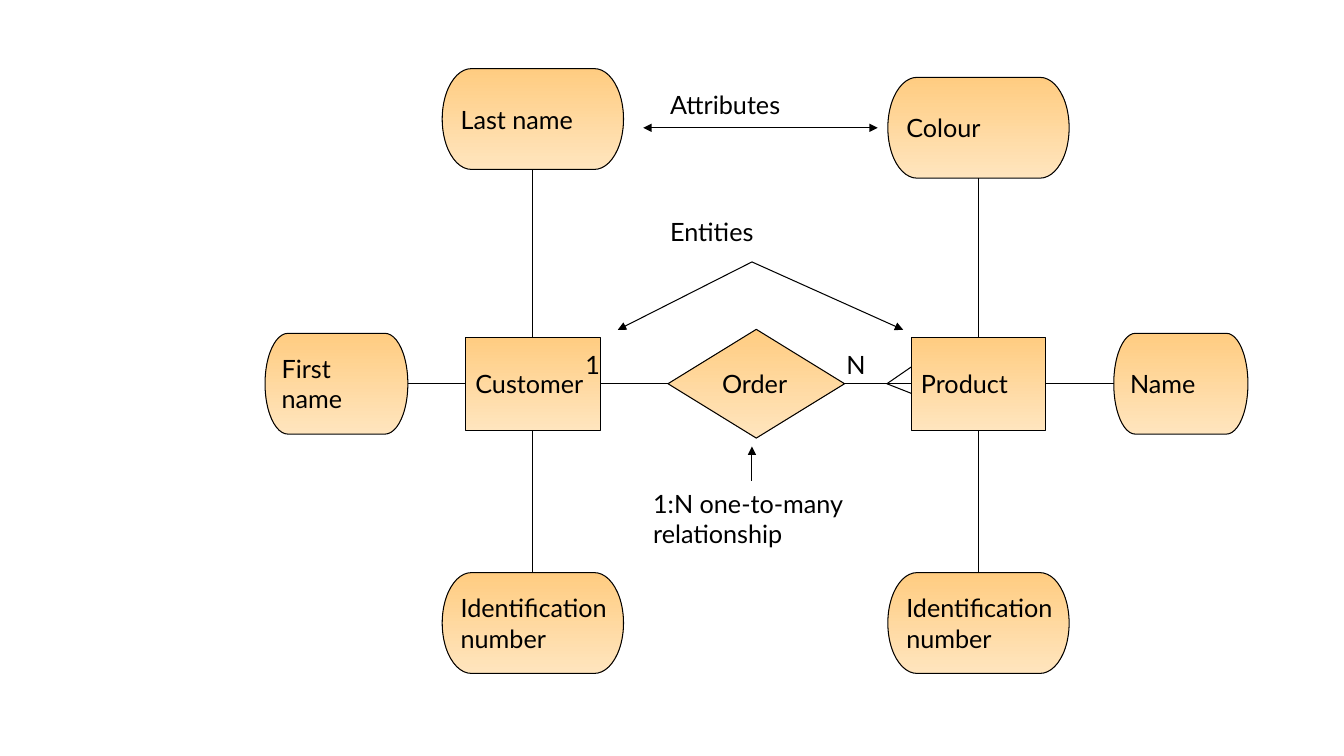
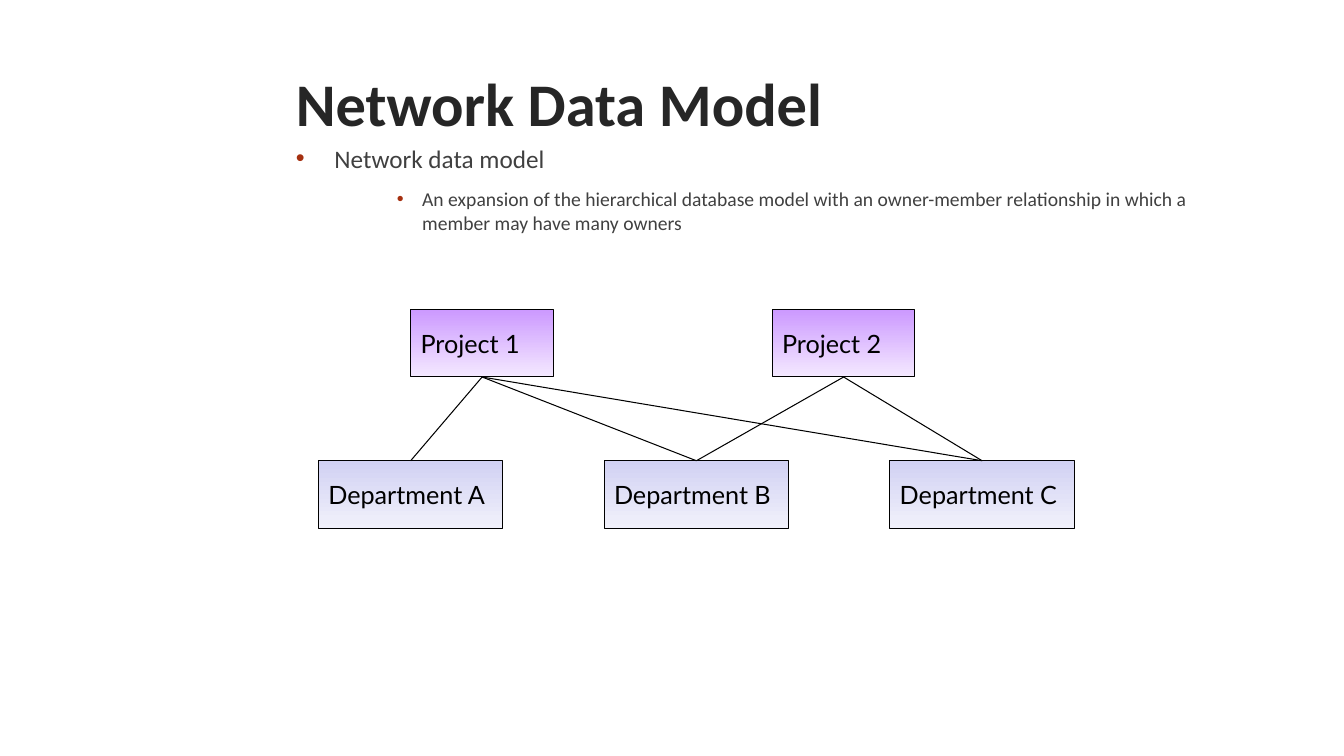
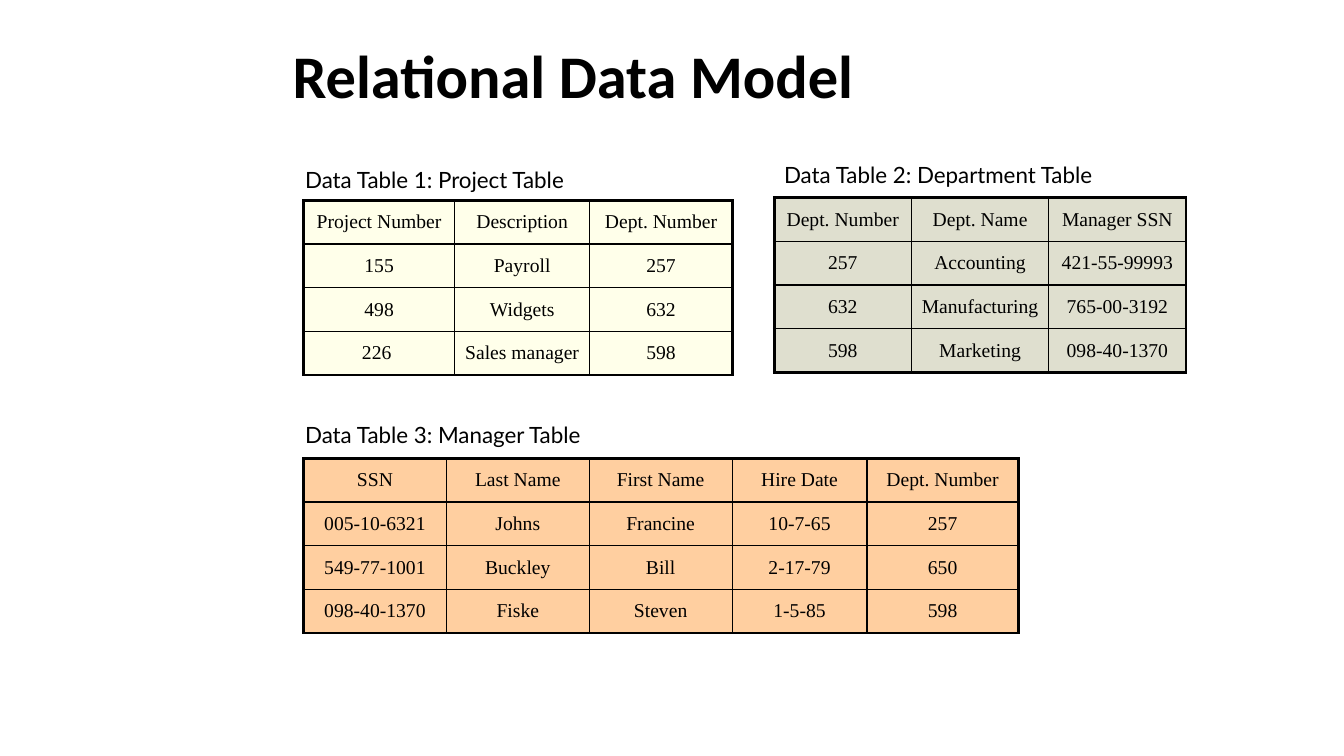
from lxml.etree import SubElement
from pptx import Presentation
from pptx.dml.color import RGBColor
from pptx.enum.shapes import MSO_CONNECTOR, MSO_SHAPE
from pptx.enum.text import MSO_ANCHOR, PP_ALIGN
from pptx.oxml.ns import qn
from pptx.util import Cm, Pt

COLORS = {
    "black": "000000", "title": "262626", "body": "404040", "bullet": "A53010",
    "orange": ("FFCC81", "FFE5BE"), "purple": ("CC99FF", "F4E9FF"), "lavender": ("D1D1F3", "F1F1FB"),
    "project table": "FFFFEA", "department table": "DFDFCF", "manager table": "FFCFA0",
}
TOP, LEFT, BOTTOM, RIGHT = range(4)


def write_text(frame, text, size=18, font="Lato", color="black", bold=False,
               align=PP_ALIGN.LEFT, anchor=MSO_ANCHOR.TOP, wrap=True,
               line_spacing=None, space_before=0, bullets=()):
    """Fill a text frame, one paragraph a line; bullets lists (left, hanging, size) per paragraph."""
    frame.word_wrap = wrap
    frame.vertical_anchor = anchor
    frame.text = text
    for index, paragraph in enumerate(frame.paragraphs):
        paragraph_size = size
        if bullets:
            left, hanging, paragraph_size = bullets[index]
            properties = paragraph._p.get_or_add_pPr()
            properties.set("marL", str(Cm(left)))
            properties.set("indent", str(-Cm(hanging)))
            bullet_color = SubElement(properties, qn("a:buClr"))
            SubElement(bullet_color, qn("a:srgbClr"), val=COLORS["bullet"])
            SubElement(properties, qn("a:buFont"), typeface="Arial")
            SubElement(properties, qn("a:buChar"), char="•")
        paragraph.alignment = align
        paragraph.line_spacing = line_spacing
        paragraph.space_before = Pt(space_before if index else 0)
        for run in paragraph.runs:
            run.font.size = Pt(paragraph_size)
            run.font.name = font
            run.font.bold = bold
            run.font.color.rgb = RGBColor.from_string(COLORS[color])


def add_line(slide, start, end, arrows=()):
    """Draw a thin black line from point to point, with arrowheads at headEnd and/or tailEnd."""
    points = [Cm(value) for value in (*start, *end)]
    line = slide.shapes.add_connector(MSO_CONNECTOR.STRAIGHT, *points)
    line.line.width = Pt(0.75)
    line.line.color.rgb = RGBColor.from_string(COLORS["black"])
    for arrow in arrows:
        SubElement(line.line._ln, qn("a:" + arrow), type="triangle")
    SubElement(line._element.spPr, qn("a:effectLst"))
    return line


presentation = Presentation()
presentation.slide_width, presentation.slide_height = Cm(33.87), Cm(19.05)
title_only, blank = presentation.slide_layouts[5], presentation.slide_layouts[6]
entity_slide = presentation.slides.add_slide(blank)
network_slide = presentation.slides.add_slide(title_only)
relational_slide = presentation.slides.add_slide(title_only)

# Titles
for slide, text, color, left, top, height in [
    (network_slide, "Network Data Model", "title", 7.2, 1.73, 1.93),
    (relational_slide, "Relational Data Model", "black", 7.12, 1.12, 1.75),
]:
    title = slide.shapes.title
    title.left, title.top, title.width, title.height = Cm(left), Cm(top), Cm(24.77), Cm(height)
    write_text(title.text_frame, text, size=43.2, font="Calibri", color=color, bold=True,
               anchor=MSO_ANCHOR.MIDDLE, line_spacing=0.9)

# Diagram boxes, placed by their centres
customer_x, product_x, middle_y = 13.43, 24.66, 9.67
attribute, entity = (4.57, 2.54), (3.4, 2.34)
project, department = (3.6, 1.7), (4.65, 1.7)
terminator, rectangle = MSO_SHAPE.FLOWCHART_TERMINATOR, MSO_SHAPE.RECTANGLE
boxes = [
    (entity_slide, "order", "Order", MSO_SHAPE.FLOWCHART_DECISION, "orange", 19.06, middle_y, (4.45, 2.74)),
    (entity_slide, "customer", "Customer", rectangle, "orange", customer_x, middle_y, entity),
    (entity_slide, "product", "Product", rectangle, "orange", product_x, middle_y, entity),
    (entity_slide, "last name", "Last name", terminator, "orange", customer_x, 3, attribute),
    (entity_slide, "colour", "Colour", terminator, "orange", product_x, 3.22, attribute),
    (entity_slide, "product id", "Identification\vnumber", terminator, "orange", product_x, 15.7, attribute),
    (entity_slide, "name", "Name", terminator, "orange", 29.76, middle_y, (3.38, 2.54)),
    (entity_slide, "first name", "First\nname", terminator, "orange", 8.48, middle_y, (3.6, 2.54)),
    (entity_slide, "customer id", "Identification\vnumber", terminator, "orange", customer_x, 15.7, attribute),
    (network_slide, "project 1", "Project 1", rectangle, "purple", 12.15, 8.65, project),
    (network_slide, "project 2", "Project 2", rectangle, "purple", 21.26, 8.65, project),
]
for index, letter in enumerate("ABC"):
    boxes.append((network_slide, letter, f"Department {letter}", rectangle, "lavender",
                  10.35 + 7.2 * index, 12.46, department))

nodes = {}
for slide, name, text, kind, gradient, center_x, center_y, (width, height) in boxes:
    shape = slide.shapes.add_shape(kind, Cm(center_x - width / 2), Cm(center_y - height / 2),
                                   Cm(width), Cm(height))
    shape.shadow.inherit = False
    shape.fill.gradient()
    shape.fill.gradient_angle = 270
    for stop, color in zip(shape.fill.gradient_stops, COLORS[gradient]):
        stop.color.rgb = RGBColor.from_string(color)
    shape.line.width = Pt(0.75)
    shape.line.color.rgb = RGBColor.from_string(COLORS["black"])
    write_text(shape.text_frame, text, anchor=MSO_ANCHOR.MIDDLE, wrap=False)
    nodes[name] = shape

# Lines that join two boxes
for slide, start, start_side, end, end_side in [
    (entity_slide, "last name", BOTTOM, "customer", TOP),
    (entity_slide, "customer", BOTTOM, "customer id", TOP),
    (entity_slide, "colour", BOTTOM, "product", TOP),
    (entity_slide, "product", BOTTOM, "product id", TOP),
    (entity_slide, "first name", RIGHT, "customer", LEFT),
    (entity_slide, "customer", RIGHT, "order", LEFT),
    (entity_slide, "order", RIGHT, "product", LEFT),
    (entity_slide, "product", RIGHT, "name", LEFT),
    (network_slide, "project 1", BOTTOM, "A", TOP),
    (network_slide, "project 1", BOTTOM, "B", TOP),
    (network_slide, "project 1", BOTTOM, "C", TOP),
    (network_slide, "project 2", BOTTOM, "B", TOP),
    (network_slide, "project 2", BOTTOM, "C", TOP),
]:
    link = add_line(slide, (0, 0), (0, 0))
    link.begin_connect(nodes[start], start_side)
    link.end_connect(nodes[end], end_side)

# Arrows and the crow's foot of the entity diagram
apex, foot = (18.95, 6.6), (22.35, middle_y)
product_left = product_x - entity[0] / 2
for start, end, arrows in [
    ((16.21, 3.22), (22.12, 3.22), ("headEnd", "tailEnd")),
    (apex, (15.57, 8.31), ("tailEnd",)),
    (apex, (22.76, 8.31), ("tailEnd",)),
    ((18.95, 12.12), (18.95, 11.25), ("tailEnd",)),
    (foot, (product_left, 9.25), ()),
    (foot, (product_left, 9.91), ()),
]:
    add_line(entity_slide, start, end, arrows)

# Free text
for slide, text, left, top, width, height, options in [
    (entity_slide, "1:N one-to-many\nrelationship", 16.21, 12.1, 5.72, 1.91,
     {"anchor": MSO_ANCHOR.MIDDLE, "wrap": False}),
    (entity_slide, "Attributes", 16.64, 2.12, 4.65, 1.09, {}),
    (entity_slide, "Entities", 16.64, 5.33, 4.65, 1.09, {}),
    (entity_slide, "1", 14.5, 8.69, 2.34, 1.09, {}),
    (entity_slide, "N", 21.08, 8.69, 2.34, 1.09, {}),
    (network_slide, "Network data model\nAn expansion of the hierarchical database model with an "
     "owner-member relationship in which a member may have many owners", 7.21, 3.48, 23.5, 2.59,
     {"font": "Calibri", "color": "body", "space_before": 10,
      "bullets": [(0.97, 0.97, 18), (3.18, 0.64, 14)]}),
    (relational_slide, "Data Table 1: Project Table", 7.44, 4.06, 9.32, 0.94, {"size": 16}),
    (relational_slide, "Data Table 2: Department Table", 19.51, 3.94, 9.32, 0.94, {"size": 16}),
    (relational_slide, "Data Table 3: Manager Table", 7.44, 10.49, 9.32, 0.94, {"size": 16}),
]:
    text_box = slide.shapes.add_textbox(Cm(left), Cm(top), Cm(width), Cm(height))
    write_text(text_box.text_frame, text, **options)

# Data tables: thick frame, thin inner rules
row_height = 1.1
for color, left, top, widths, rows in [
    ("project table", 7.65, 5.05, (3.81, 3.4, 3.6), [
        ("Project Number", "Description", "Dept. Number"),
        ("155", "Payroll", "257"),
        ("498", "Widgets", "632"),
        ("226 ", "Sales manager", "598"),
    ]),
    ("department table", 19.51, 4.98, (3.46, 3.46, 3.46), [
        ("Dept. Number", "Dept. Name", "Manager SSN"),
        ("257", "Accounting", "421-55-99993"),
        ("632", "Manufacturing", "765-00-3192"),
        ("598", "Marketing", "098-40-1370"),
    ]),
    ("manager table", 7.65, 11.55, (3.6, 3.6, 3.6, 3.4, 3.81), [
        ("SSN", "Last Name", "First Name", "Hire Date", "Dept. Number"),
        ("005-10-6321", "Johns", "Francine", "10-7-65", "257"),
        ("549-77-1001", "Buckley", "Bill", "2-17-79", "650"),
        ("098-40-1370", "Fiske", "Steven", "1-5-85", "598"),
    ]),
]:
    table = relational_slide.shapes.add_table(
        len(rows), len(widths), Cm(left), Cm(top), Cm(sum(widths)), Cm(row_height * len(rows))).table
    table.first_row = table.horz_banding = False
    for column, width in zip(table.columns, widths):
        column.width = Cm(width)
    for row_index, row in enumerate(rows):
        table.rows[row_index].height = Cm(row_height)
        for column_index, text in enumerate(row):
            cell = table.cell(row_index, column_index)
            write_text(cell.text_frame, text, size=14, font="Times New Roman", align=PP_ALIGN.CENTER)
            cell.vertical_anchor = MSO_ANCHOR.MIDDLE
            cell.margin_left = cell.margin_right = Cm(0.15)
            cell_properties = cell._tc.get_or_add_tcPr()
            for side, is_outer in [
                ("lnL", column_index == 0), ("lnR", column_index == len(row) - 1),
                ("lnT", row_index == 0), ("lnB", row_index == len(rows) - 1),
            ]:
                border = SubElement(cell_properties, qn("a:" + side), w=str(Pt(2.25 if is_outer else 1)))
                SubElement(SubElement(border, qn("a:solidFill")), qn("a:srgbClr"), val=COLORS["black"])
            cell.fill.solid()
            cell.fill.fore_color.rgb = RGBColor.from_string(COLORS[color])

presentation.save("out.pptx")
